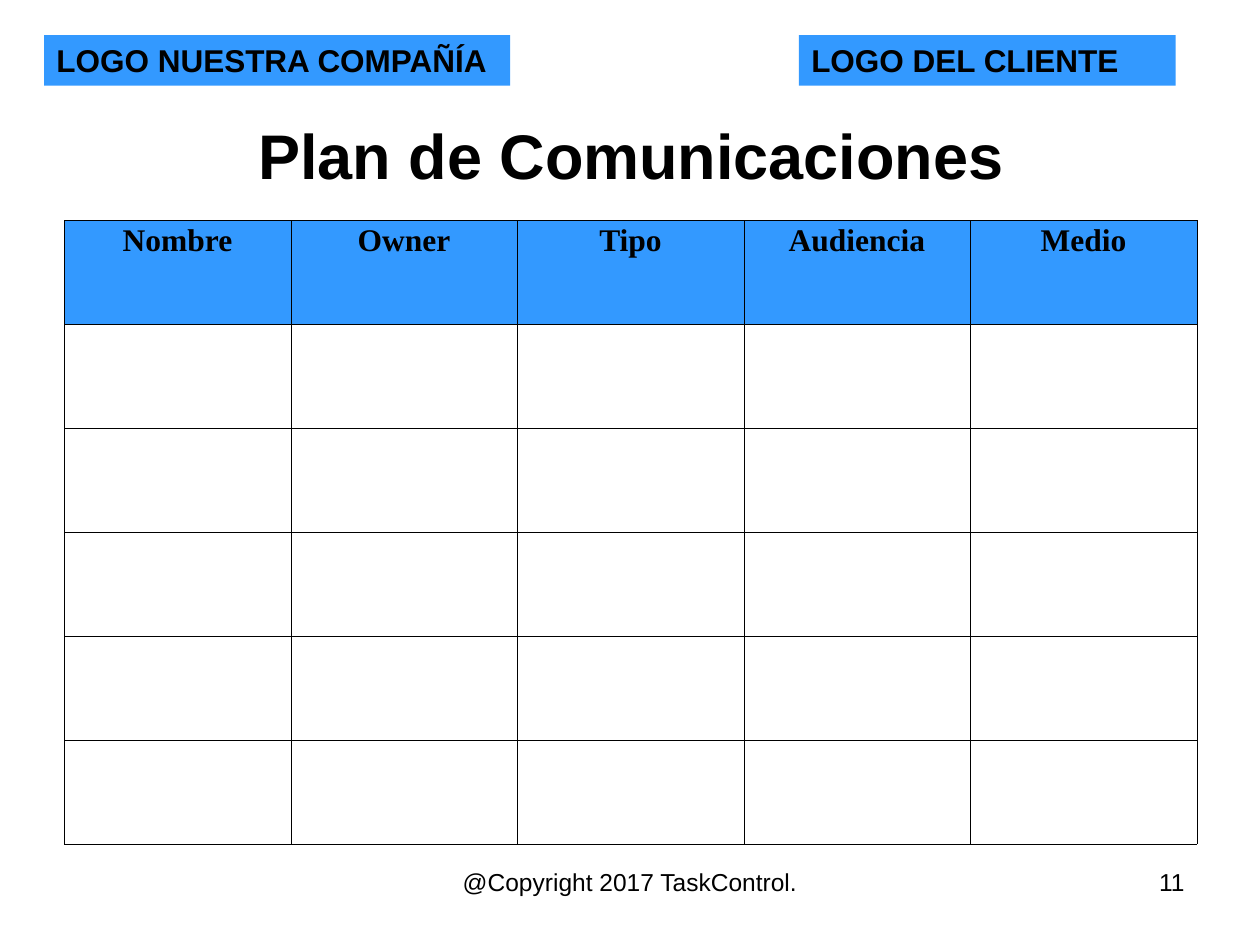
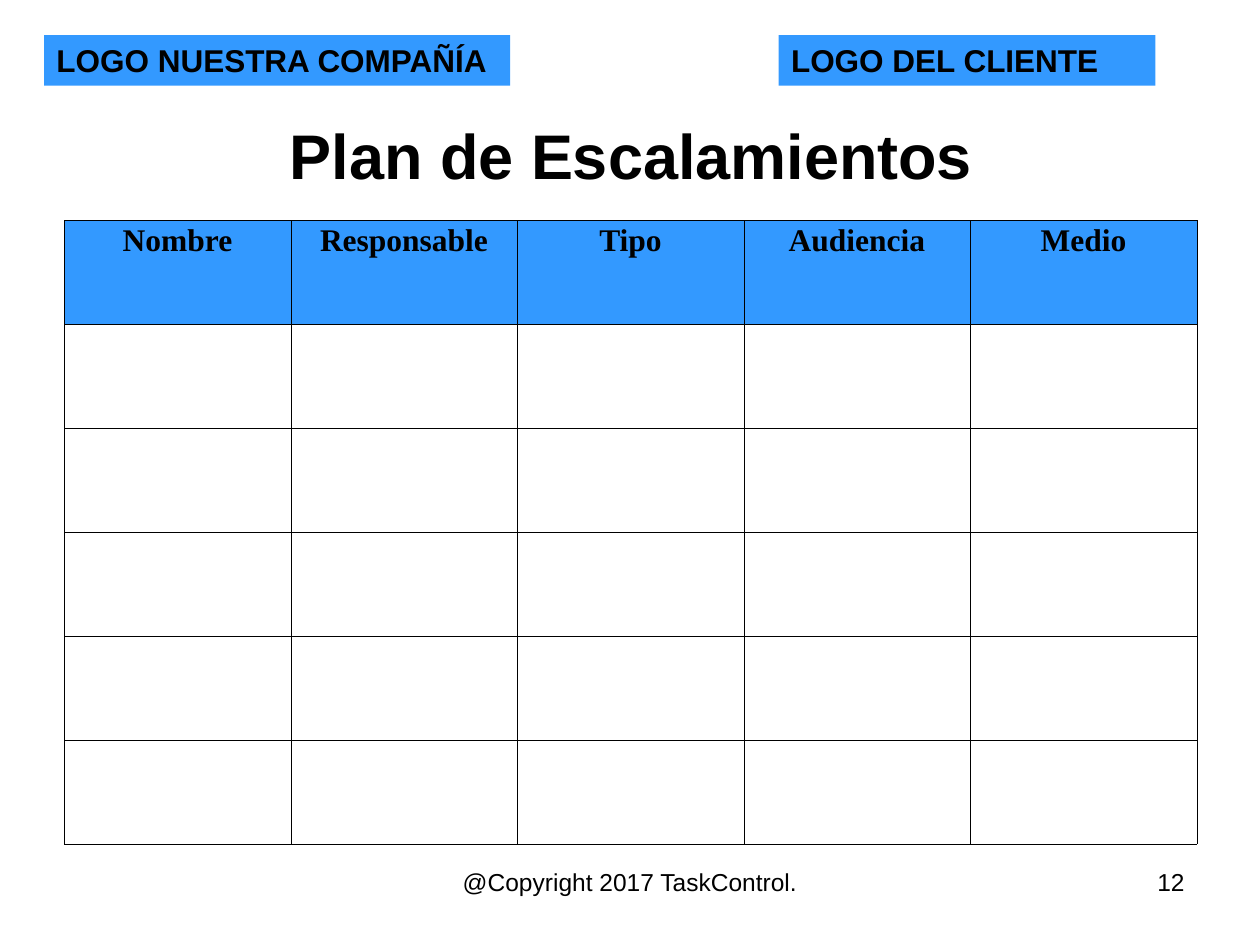
from dataclasses import dataclass

from lxml.etree import SubElement
from pptx import Presentation
from pptx.dml.color import RGBColor
from pptx.enum.shapes import MSO_SHAPE as Preset
from pptx.enum.text import MSO_ANCHOR as Anchor, PP_ALIGN as Align
from pptx.oxml.ns import qn
from pptx.slide import Slide
from pptx.table import _Cell as Cell
from pptx.text.text import TextFrame
from pptx.util import Inches, Pt


@dataclass(frozen=True)
class Theme:
    blue: RGBColor = RGBColor(0x33, 0x99, 0xFF)
    black: RGBColor = RGBColor(0, 0, 0)
    sans: str = "Arial"
    serif: str = "Times New Roman"
    title_size: float = 36
    label_size: float = 18
    footer_size: float = 14
    outer_border: float = 0.23
    inner_border: float = 0.11


@dataclass(frozen=True)
class Box:
    left: float
    top: float
    width: float
    height: float

    def lengths(self) -> tuple:
        return tuple(map(Inches, (self.left, self.top, self.width, self.height)))


@dataclass(frozen=True)
class PlanSlide:
    title: str
    headings: tuple[str, ...]
    client_logo_left: float
    number: int


THEME = Theme()
TITLE_BOX = Box(0.51, 0.91, 9, 0.63)
TABLE_BOX = Box(0.51, 1.75, 8.99, 4.95)
COMPANY_LOGO_BOX = Box(0.35, 0.28, 3.7, 0.4)
COPYRIGHT_BOX = Box(3.42, 6.83, 3.16, 0.52)
NUMBER_BOX = Box(7.17, 6.83, 2.33, 0.52)
ROW_COUNT = 6

PLANS = (
    PlanSlide("Plan de Comunicaciones",
              ("Nombre", "Owner", "Tipo", "Audiencia", "Medio"), 6.34, 11),
    PlanSlide("Plan de Escalamientos",
              ("Nombre", "Responsable", "Tipo", "Audiencia", "Medio"), 6.18, 12),
)


def write(frame: TextFrame, text: str, size: float, align: Align,
          bold: bool = False, font_name: str = THEME.sans) -> None:
    frame.word_wrap = True
    paragraph = frame.paragraphs[0]
    paragraph.text = text
    paragraph.alignment = align
    font = paragraph.runs[0].font
    font.name, font.size, font.bold = font_name, Pt(size), bold
    font.color.rgb = THEME.black


def add_text(slide: Slide, box: Box, text: str, size: float, align: Align,
             bold: bool = False, anchor: Anchor = Anchor.TOP) -> None:
    frame = slide.shapes.add_textbox(*box.lengths()).text_frame
    frame.vertical_anchor = anchor
    write(frame, text, size, align, bold)


def add_logo_label(slide: Slide, box: Box, text: str) -> None:
    shape = slide.shapes.add_shape(Preset.RECTANGLE, *box.lengths())
    shape.shadow.inherit = False
    shape.fill.solid()
    shape.fill.fore_color.rgb = THEME.blue
    shape.line.fill.background()
    shape.text_frame.vertical_anchor = Anchor.TOP
    write(shape.text_frame, text, THEME.label_size, Align.LEFT, bold=True)


def set_borders(cell: Cell, outer_sides: dict[str, bool]) -> None:
    """Draw each side, in schema order, with the outer or the inner line width."""
    properties = cell._tc.get_or_add_tcPr()
    for side, is_outer in outer_sides.items():
        width = THEME.outer_border if is_outer else THEME.inner_border
        line = SubElement(properties, qn(f"a:ln{side}"), w=str(int(Pt(width))))
        fill = SubElement(line, qn("a:solidFill"))
        SubElement(fill, qn("a:srgbClr"), val=str(THEME.black))


def add_plan_table(slide: Slide, headings: tuple[str, ...]) -> None:
    column_count = len(headings)
    table = slide.shapes.add_table(ROW_COUNT, column_count, *TABLE_BOX.lengths()).table
    table.first_row = table.horz_banding = False
    for column in table.columns:
        column.width = Inches(TABLE_BOX.width / column_count)
    for row_index, row in enumerate(table.rows):
        row.height = Inches(TABLE_BOX.height / ROW_COUNT)
        for column_index, cell in enumerate(row.cells):
            set_borders(cell, {"L": column_index == 0,
                               "R": column_index == column_count - 1,
                               "T": row_index == 0,
                               "B": row_index == ROW_COUNT - 1})
            if row_index > 0:
                cell.fill.background()
                continue
            cell.fill.solid()
            cell.fill.fore_color.rgb = THEME.blue
            write(cell.text_frame, headings[column_index], THEME.label_size,
                  Align.CENTER, bold=True, font_name=THEME.serif)
            cell.text_frame.paragraphs[0].line_spacing = 0.87


def add_plan_slide(presentation: Presentation, plan: PlanSlide) -> None:
    slide = presentation.slides.add_slide(presentation.slide_layouts[6])
    add_text(slide, TITLE_BOX, plan.title, THEME.title_size, Align.CENTER,
             bold=True, anchor=Anchor.MIDDLE)
    add_plan_table(slide, plan.headings)
    add_logo_label(slide, COMPANY_LOGO_BOX, "LOGO NUESTRA COMPAÑÍA")
    add_logo_label(slide, Box(plan.client_logo_left, 0.28, 2.99, 0.4), "LOGO DEL CLIENTE")
    add_text(slide, COPYRIGHT_BOX, "@Copyright 2017 TaskControl.",
             THEME.footer_size, Align.CENTER)
    add_text(slide, NUMBER_BOX, str(plan.number), THEME.footer_size, Align.RIGHT)


def main() -> None:
    presentation = Presentation()
    presentation.slide_width, presentation.slide_height = Inches(10), Inches(7.5)
    for plan in PLANS:
        add_plan_slide(presentation, plan)
    presentation.save("out.pptx")


if __name__ == "__main__":
    main()
